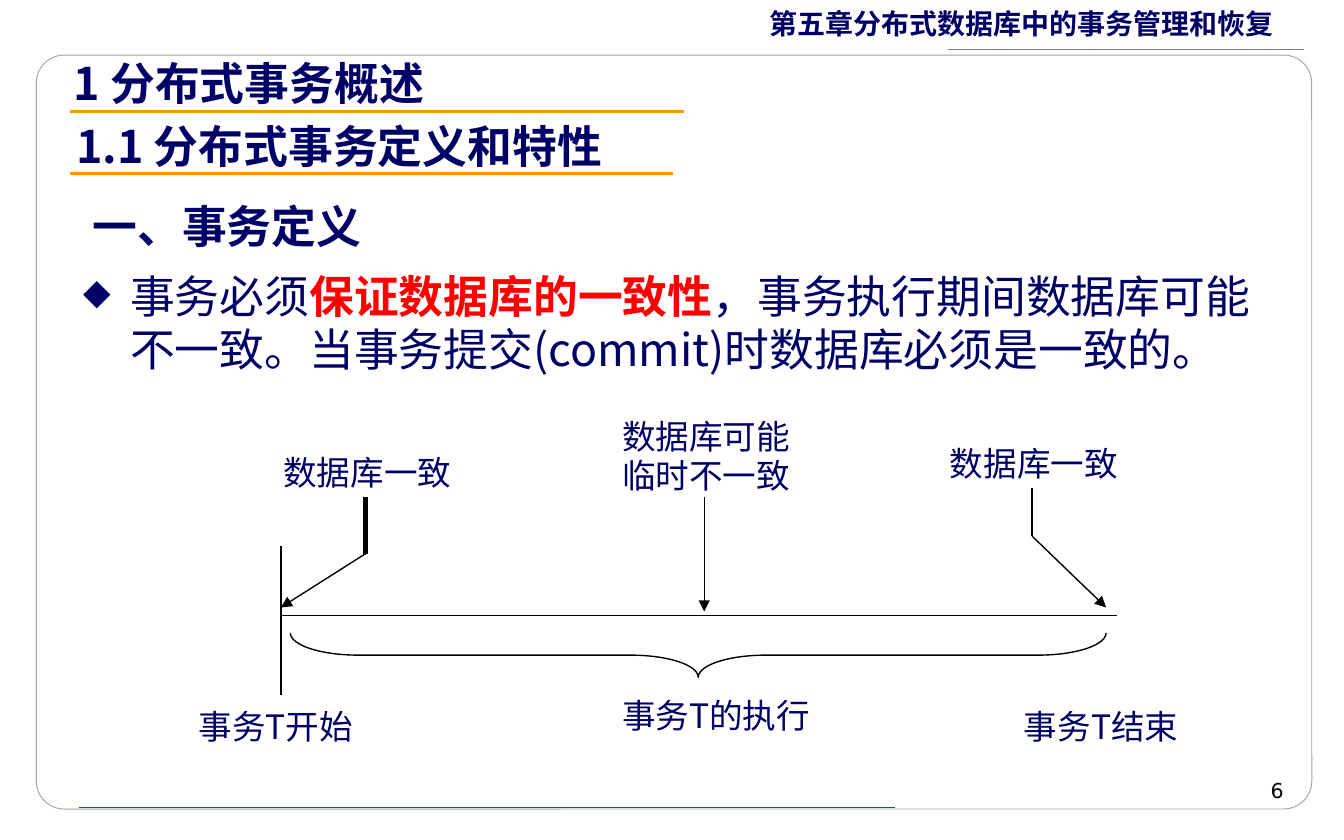
import pptx
import pptx.util
import pptx.dml.color
import pptx.enum.shapes
import pptx.enum.text
import pptx.oxml.ns
from dataclasses import dataclass
from lxml import etree

Inches = pptx.util.Inches
Pt = pptx.util.Pt
Shape = pptx.enum.shapes.MSO_SHAPE
Align = pptx.enum.text.PP_ALIGN
qn = pptx.oxml.ns.qn


@dataclass(frozen=True)
class Theme:
    font: str = "Noto Sans CJK SC"
    plain: str = "DejaVu Sans"
    navy: str = "000066"
    red: str = "FF0000"
    black: str = "000000"
    white: str = "FFFFFF"
    amber: str = "FF9900"
    blue: str = "3333CC"
    gray: str = "7F7F7F"
    frame: str = "A5A5A5"
    head: int = 24
    label: int = 18
    top: int = 15
    page: int = 11
    lead: float = 1.18  # line height as a share of the type size


T = Theme()


def color(code):
    return pptx.dml.color.RGBColor.from_string(code)


def text(slide, box, parts, size, align=Align.LEFT, font=T.font, lead=T.lead, mark=None):
    """Text box with one paragraph; each part is (words, colour, bold)."""
    shape = slide.shapes.add_textbox(*map(Inches, box))
    shape.text_frame.word_wrap = True
    para = shape.text_frame.paragraphs[0]
    if mark:
        bullet(para, mark)
    look = {"alignment": align, "line_spacing": Pt(round(size * lead, 1))}
    for name, value in look.items():
        setattr(para, name, value)
    for words, code, bold in parts:
        for i, line in enumerate(words.split("\n")):
            if i:
                para.add_line_break()
            run = para.add_run()
            run.text = line
            for name, value in {"name": font, "size": Pt(size), "bold": bold}.items():
                setattr(run.font, name, value)
            run.font.color.rgb = color(code)
            east = etree.SubElement(run.font._element, qn("a:ea"))
            east.set("typeface", font)


def bullet(para, mark):
    props = para._p.get_or_add_pPr()
    for name, value in {"marL": Inches(0.35), "indent": -Inches(0.35)}.items():
        props.set(name, str(int(value)))
    tint = etree.SubElement(props, qn("a:buClr"))
    etree.SubElement(tint, qn("a:srgbClr")).set("val", T.navy)
    etree.SubElement(props, qn("a:buSzPct")).set("val", "80000")
    etree.SubElement(props, qn("a:buChar")).set("char", mark)


def line(slide, start, end, code=T.black, width=0.75, arrow=False):
    kind = pptx.enum.shapes.MSO_CONNECTOR.STRAIGHT
    link = slide.shapes.add_connector(kind, *map(Inches, (*start, *end)))
    link.line.color.rgb = color(code)
    link.line.width = Pt(width)
    if arrow:
        tail = etree.SubElement(link.line._get_or_add_ln(), qn("a:tailEnd"))
        tail.set("type", "triangle")
    etree.SubElement(link._element.spPr, qn("a:effectLst"))


def outline(slide, kind, box, code, width, adjust, fill=None):
    shape = slide.shapes.add_shape(kind, *map(Inches, box))
    shape.shadow.inherit = False
    for i, value in enumerate(adjust):
        shape.adjustments[i] = value
    if fill:
        shape.fill.solid()
        shape.fill.fore_color.rgb = color(fill)
    else:
        shape.fill.background()
    shape.line.color.rgb = color(code)
    shape.line.width = Pt(width)
    return shape


def frame(slide):
    outline(slide, Shape.ROUNDED_RECTANGLE, (0.27, 0.41, 9.49, 5.61),
            T.frame, 0.5, [0.037], T.white)
    line(slide, (0.59, 6.01), (6.66, 6.01), T.blue, 0.25)
    text(slide, (5.63, 0.03, 4.37, 0.32),
         [("第五章分布式数据库中的事务管理和恢复", T.navy, True)], T.top, lead=1.06)
    line(slide, (9.7, 0.37), (7.05, 0.37), T.gray)
    text(slide, (7.15, 5.74, 2.5, 0.28), [("6", T.black, False)],
         T.page, Align.RIGHT, T.plain)


def heads(slide):
    for words, left, top, width in (
        ("1 分布式事务概述", 0.45, 0.37, 5),
        ("1.1 分布式事务定义和特性", 0.47, 0.84, 5),
        ("一、事务定义", 0.59, 1.44, 4.96),
    ):
        text(slide, (left, top, width, 0.5), [(words, T.navy, True)], T.head)
    for right, y in ((5.09, 0.83), (5.01, 1.29)):
        line(slide, (0.52, y), (right, y), T.amber, 1.5)


def body(slide):
    text(slide, (0.52, 1.96, 9.12, 0.96), [
        ("事务必须", T.navy, False),
        ("保证数据库的一致性", T.red, True),
        ("，事务执行期间数据库可能不一致。当事务提交(commit)时数据库必须是一致的。",
         T.navy, False),
    ], T.head, mark="◆")


def chart(slide):
    # Time axis and its start mark
    line(slide, (2.09, 4.58), (8.31, 4.58))
    line(slide, (2.09, 4.06), (2.09, 5.17))

    # Brace over the running time, turned to point down
    brace = outline(slide, Shape.RIGHT_BRACE, (5.03, 1.84, 0.33, 6.07),
                    T.black, 0.75, [1.53, 0.5])
    brace.rotation = 90

    # Pointers from the state labels to the axis
    for x, top, bend, tip, width in ((2.72, 3.7, 4.12, 2.09, 2.25),
                                     (7.68, 3.63, 3.99, 8.23, 0.75)):
        line(slide, (x, top), (x, bend), width=width)
        line(slide, (x, bend), (tip, 4.52), arrow=True)
    line(slide, (5.24, 3.7), (5.24, 4.55), arrow=True)

    # Labels
    for words, left, top, width, high in (
        ("数据库一致", 2.01, 3.32, 1.97, 0.39),
        ("数据库可能\n临时不一致", 4.53, 3.05, 1.89, 0.69),
        ("数据库一致", 6.97, 3.25, 1.5, 0.39),
        ("事务T开始", 1.38, 5.21, 1.89, 0.39),
        ("事务T的执行", 4.53, 5.13, 2.05, 0.39),
        ("事务T结束", 7.52, 5.21, 1.45, 0.39),
    ):
        text(slide, (left, top, width, high), [(words, T.navy, False)], T.label)


def main():
    deck = pptx.Presentation()
    deck.slide_width = Inches(10)
    deck.slide_height = Inches(6.25)
    slide = deck.slides.add_slide(deck.slide_layouts[6])
    for part in (frame, heads, body, chart):
        part(slide)
    deck.save("out.pptx")


if __name__ == "__main__":
    main()
